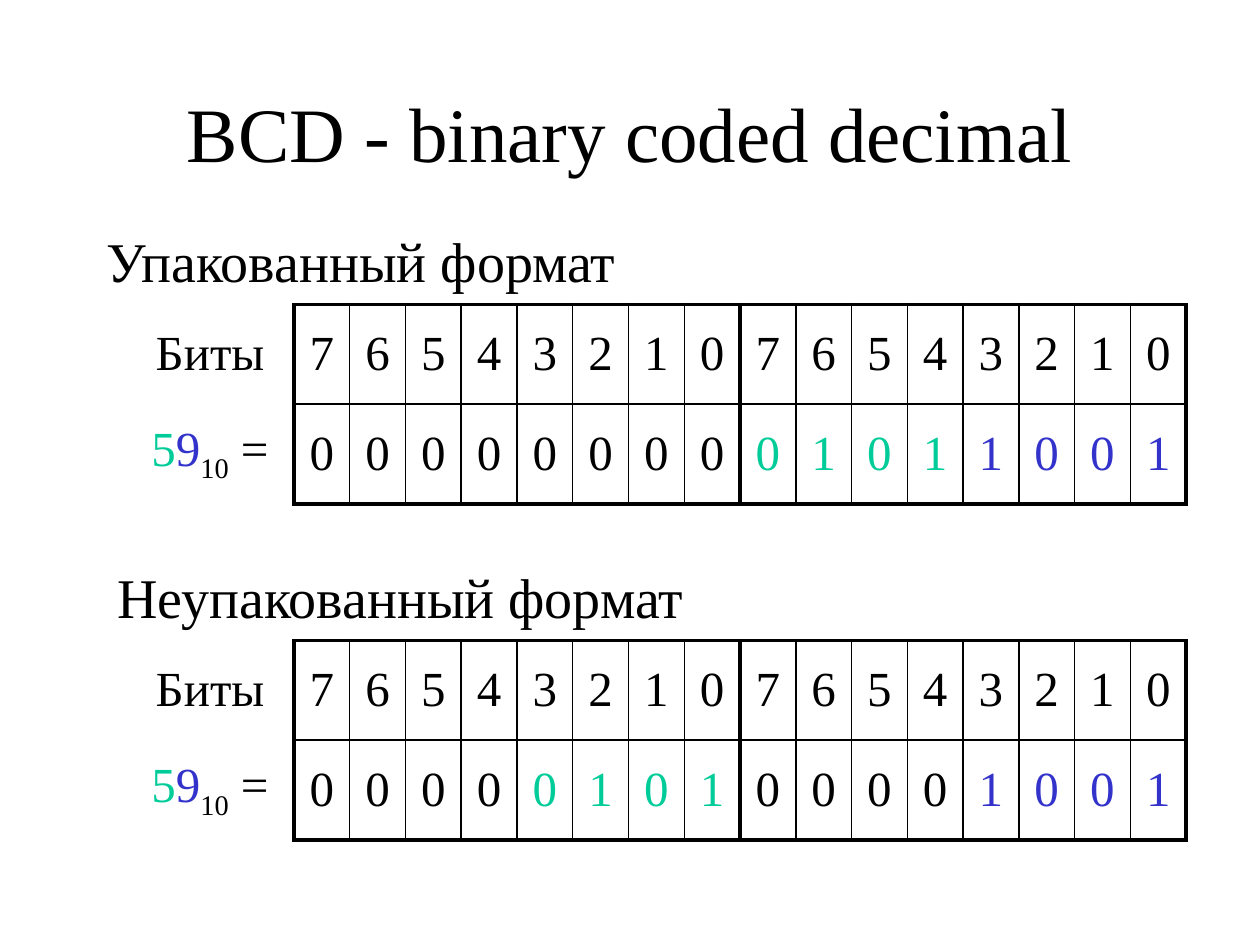
from pptx import Presentation
from pptx.dml.color import RGBColor
from pptx.enum.text import MSO_ANCHOR, PP_ALIGN
from pptx.oxml.ns import qn
from pptx.util import Pt
from lxml.etree import SubElement

BLACK = RGBColor(0x00, 0x00, 0x00)
GREEN = RGBColor(0x00, 0xCC, 0x99)
BLUE = RGBColor(0x33, 0x33, 0xCC)
COLORS = {"k": BLACK, "g": GREEN, "b": BLUE}

LABEL_WIDTH, BIT_WIDTH, ROW_HEIGHT = 96, 31.88, 57
THIN, THICK = 1, 2.25
BIT_NUMBERS = "7654321076543210"


def add_span(para, text, size, color=BLACK):
    span = para.add_run()
    span.text = text
    span.font.name = "Times New Roman"
    span.font.size = Pt(size)
    span.font.color.rgb = color
    return span


def set_borders(cell, widths):
    properties = cell._tc.get_or_add_tcPr()
    for side, width in zip("LRTB", widths):
        line = SubElement(properties, qn(f"a:ln{side}"), w=str(Pt(width)))
        if width:
            fill = SubElement(line, qn("a:solidFill"))
            SubElement(fill, qn("a:srgbClr"), val=str(BLACK))
        else:
            SubElement(line, qn("a:noFill"))


deck = Presentation()
deck.slide_width, deck.slide_height = Pt(720), Pt(540)
page = deck.slides.add_slide(deck.slide_layouts[6])

headings = [
    ("BCD - binary coded decimal", 44, (54, 48, 612, 54), PP_ALIGN.CENTER, MSO_ANCHOR.MIDDLE),
    ("Упакованный формат", 32, (54, 126, 612, 324), PP_ALIGN.LEFT, MSO_ANCHOR.TOP),
    ("Неупакованный формат", 32, (60, 318, 402, 45), PP_ALIGN.LEFT, MSO_ANCHOR.TOP),
]
for text, size, place, alignment, anchor in headings:
    box = page.shapes.add_textbox(*[Pt(length) for length in place])
    box.text_frame.word_wrap = True
    box.text_frame.vertical_anchor = anchor
    para = box.text_frame.paragraphs[0]
    para.alignment = alignment
    add_span(para, text, size)

formats = [
    (174, "0000000001011001", "kkkkkkkkggggbbbb"),
    (366, "0000010100001001", "kkkkggggkkkkbbbb"),
]
for top, bits, bit_colors in formats:
    frame = page.shapes.add_table(
        2, 17, Pt(72), Pt(top), Pt(LABEL_WIDTH + 16 * BIT_WIDTH), Pt(2 * ROW_HEIGHT)
    )
    table = frame.table
    table.first_row = False
    table.horz_banding = False
    for row in table.rows:
        row.height = Pt(ROW_HEIGHT)
    for index, column in enumerate(table.columns):
        column.width = Pt(BIT_WIDTH if index else LABEL_WIDTH)

    for row in range(2):
        for column in range(17):
            cell = table.cell(row, column)
            if column:
                left = THICK if column in (1, 9) else THIN
                right = THICK if column in (8, 16) else THIN
                edges = (THICK, THIN) if row == 0 else (THIN, THICK)
                set_borders(cell, (left, right, *edges))
            else:
                set_borders(cell, (0, THICK, 0, 0))
            cell.fill.background()
            cell.vertical_anchor = MSO_ANCHOR.MIDDLE
            cell.text_frame.paragraphs[0].alignment = PP_ALIGN.CENTER

    add_span(table.cell(0, 0).text_frame.paragraphs[0], "Биты", 28)
    para = table.cell(1, 0).text_frame.paragraphs[0]
    add_span(para, "5", 28, GREEN)
    add_span(para, "9", 28, BLUE)
    subscript = add_span(para, "10", 28)
    subscript._r.get_or_add_rPr().set("baseline", "-25000")
    add_span(para, " =", 28)

    for column, (number, bit, key) in enumerate(zip(BIT_NUMBERS, bits, bit_colors), 1):
        add_span(table.cell(0, column).text_frame.paragraphs[0], number, 28)
        add_span(table.cell(1, column).text_frame.paragraphs[0], bit, 28, COLORS[key])

deck.save("out.pptx")
